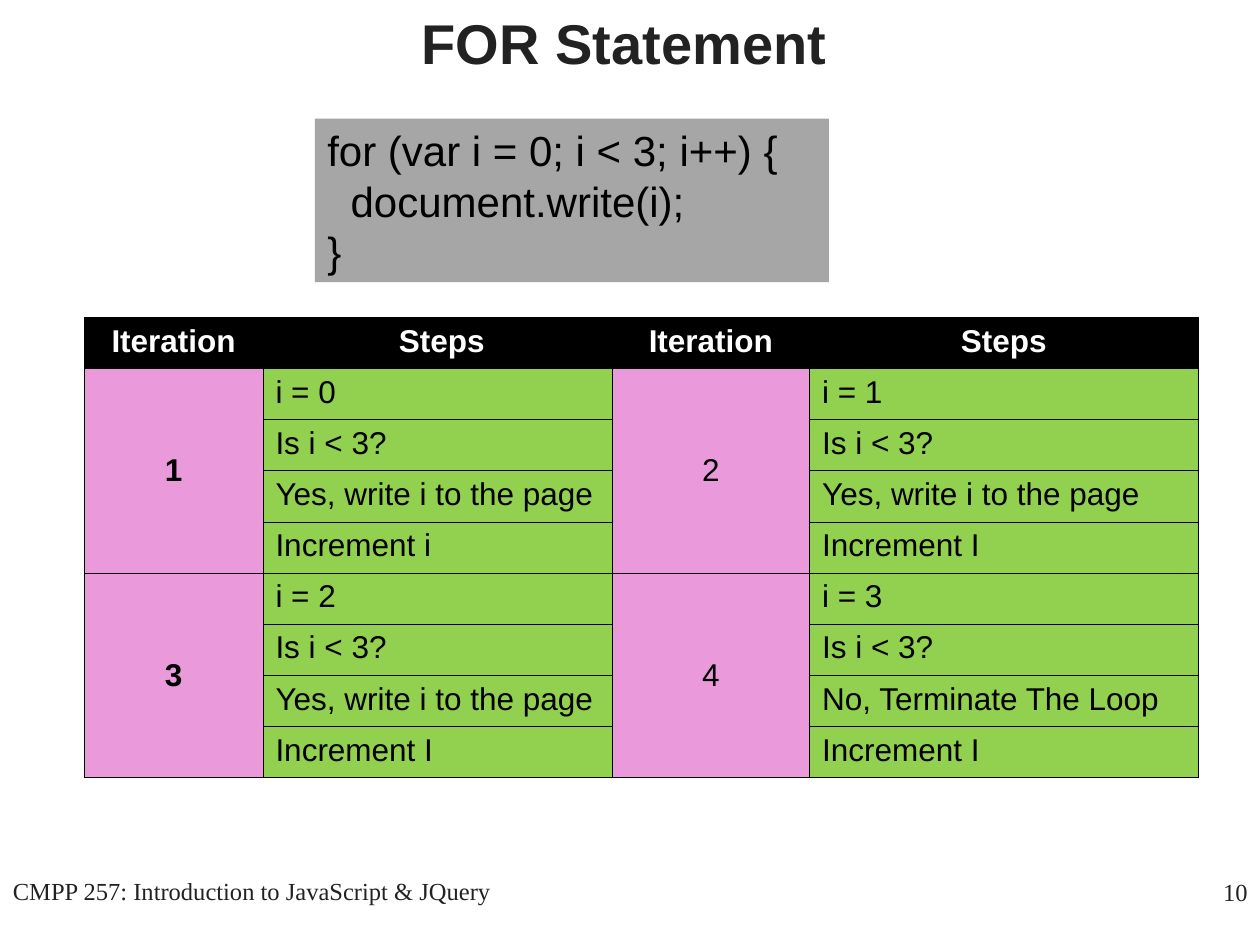
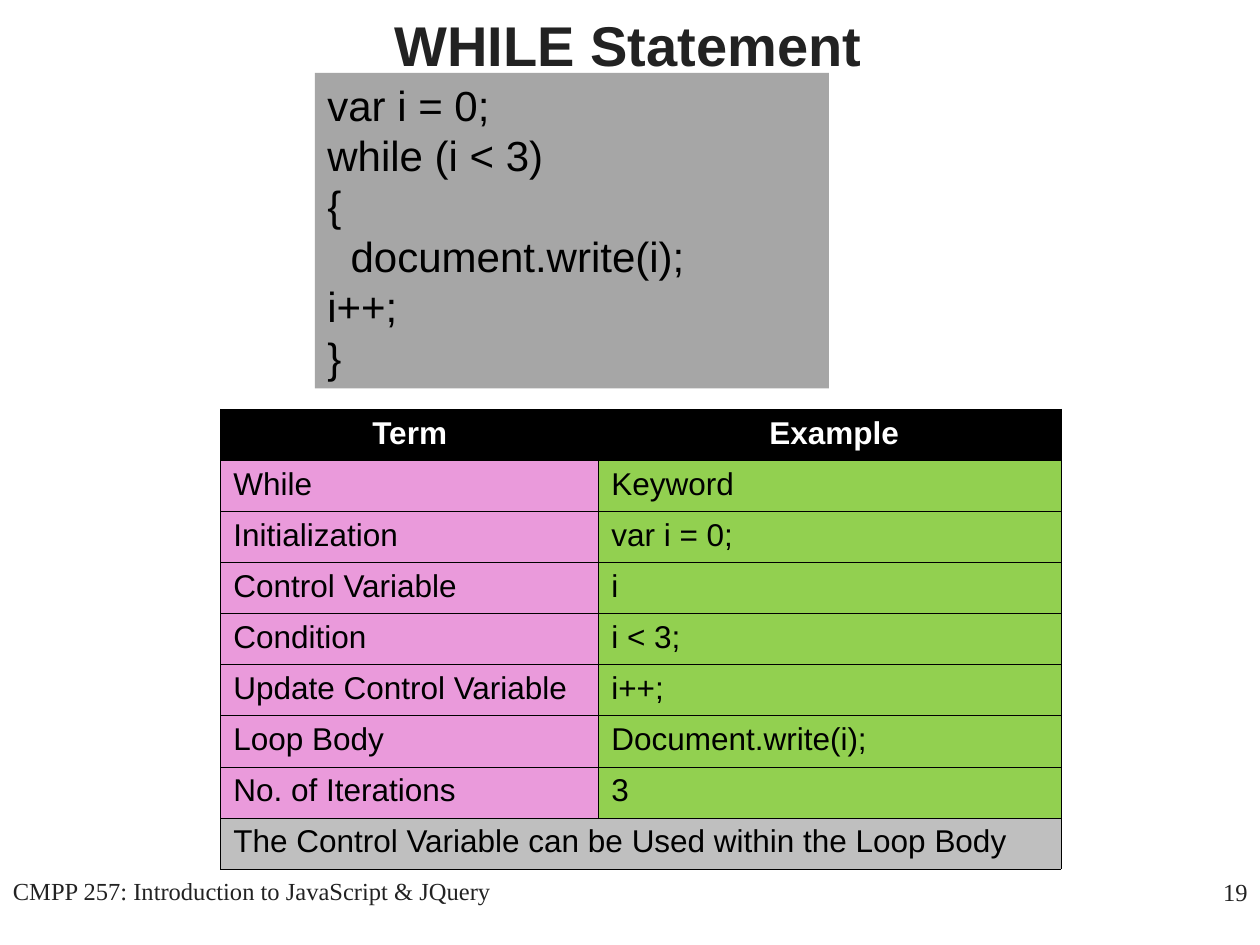
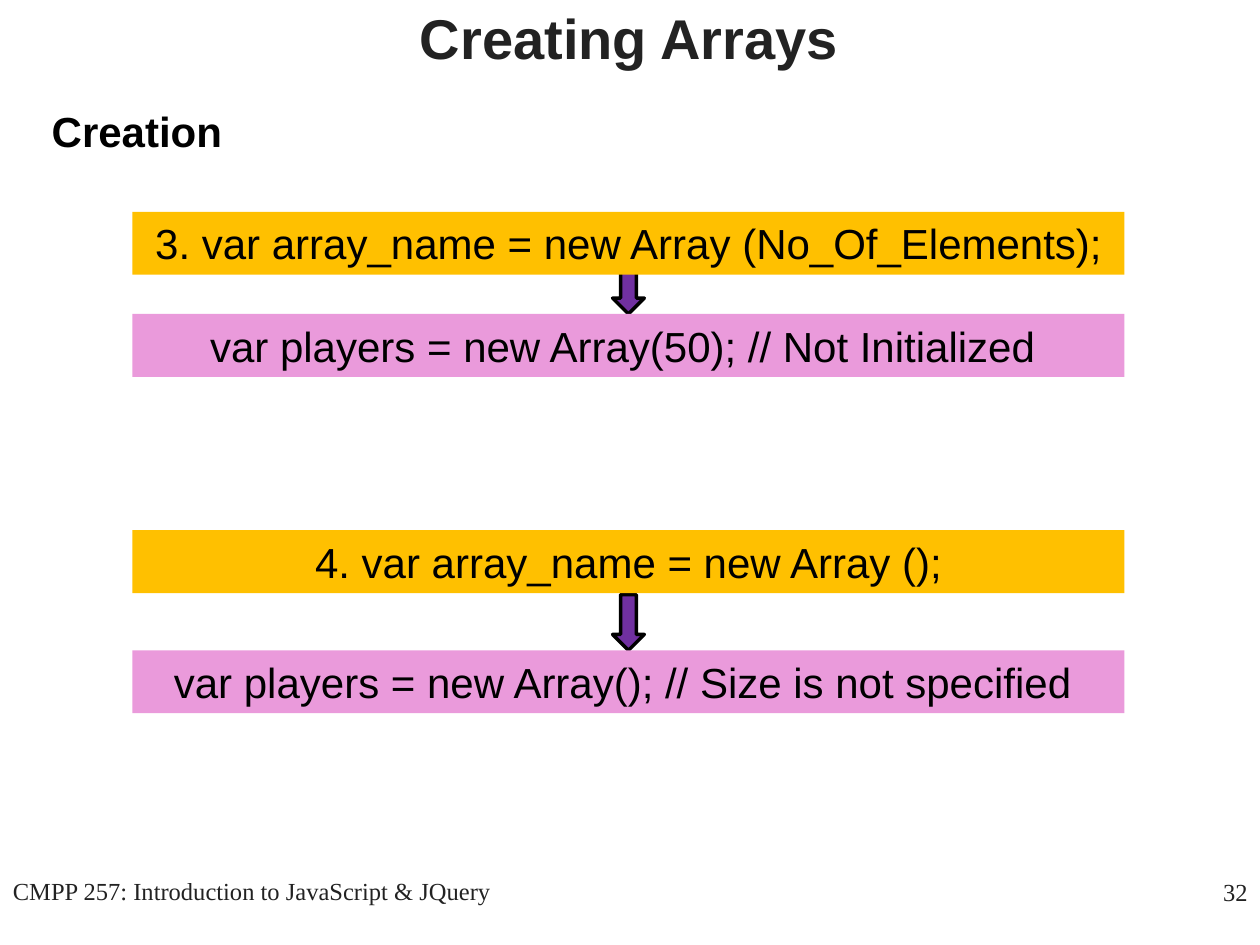
from lxml.etree import SubElement
from pptx import Presentation
from pptx.dml.color import RGBColor
from pptx.enum.shapes import MSO_SHAPE as Shape
from pptx.enum.text import MSO_ANCHOR as Anchor, MSO_AUTO_SIZE as AutoSize, PP_ALIGN as Align
from pptx.oxml.ns import qn
from pptx.util import Cm, Pt

BLACK = RGBColor(0x00, 0x00, 0x00)
WHITE = RGBColor(0xFF, 0xFF, 0xFF)
INK = RGBColor(0x22, 0x22, 0x22)
CODE_GREY = RGBColor(0xA6, 0xA6, 0xA6)
NOTE_GREY = RGBColor(0xBF, 0xBF, 0xBF)
PINK = RGBColor(0xEA, 0x9A, 0xDB)
GREEN = RGBColor(0x92, 0xD0, 0x50)
AMBER = RGBColor(0xFF, 0xC0, 0x00)
PURPLE = RGBColor(0x70, 0x30, 0xA0)

SANS, SERIF = "Arial", "Times New Roman"
COURSE = "CMPP 257: Introduction to JavaScript & JQuery"
TITLE_ONLY = 5
ROW_HEIGHT = 1.03
BAND_HEIGHT = 1.27
ARROW_WIDTH, ARROW_HEIGHT = 0.64, 1.12

ITERATIONS = [
    ["Iteration", " Steps", "Iteration", "Steps"],
    ["1", "i = 0", "2", "i = 1"],
    ["", "Is i < 3?", "", "Is i < 3?"],
    ["", "Yes, write i to the page", "", "Yes, write i to the page"],
    ["", "Increment i", "", "Increment I"],
    ["3", "i = 2", "4", "i = 3"],
    ["", "Is i < 3?", "", "Is i < 3?"],
    ["", "Yes, write i to the page", "", "No, Terminate The Loop"],
    ["", "Increment I", "", "Increment I"],
]
TERMS = [
    ["Term", " Example"],
    ["While", "Keyword"],
    ["Initialization", "var i = 0;"],
    ["Control Variable", "i"],
    ["Condition", "i < 3;"],
    ["Update Control Variable", "i++;"],
    ["Loop Body", "Document.write(i);"],
    ["No. of Iterations", "3"],
    ["The Control Variable can be Used within the Loop Body", ""],
]
FOR_CODE = ["for (var i = 0; i < 3; i++) {\n  document.write(i);\n}"]
WHILE_CODE = ["var i = 0;", "while (i < 3)", "{\n  document.write(i);", "i++;\n}"]


def write(frame, paragraphs, size, color=BLACK, bold=False, font=SANS, align=Align.LEFT):
    """Fill a text frame; a newline inside a paragraph becomes a line break."""
    frame.word_wrap = True
    for index, text in enumerate(paragraphs):
        paragraph = frame.add_paragraph() if index else frame.paragraphs[0]
        paragraph.alignment = align
        for number, line in enumerate(text.split("\n")):
            if number:
                paragraph.add_line_break()
            run = paragraph.add_run()
            run.text = line
            run.font.name, run.font.size, run.font.bold = font, Pt(size), bold
            run.font.color.rgb = color


def add_label(slide, box, text, size, **style):
    label = slide.shapes.add_textbox(*map(Cm, box))
    write(label.text_frame, [text], size, **style)


def add_panel(slide, box, fill, paragraphs, align):
    panel = slide.shapes.add_shape(Shape.RECTANGLE, *map(Cm, box))
    panel.shadow.inherit = False
    panel.fill.solid()
    panel.fill.fore_color.rgb = fill
    panel.line.fill.background()
    panel.text_frame.vertical_anchor = Anchor.TOP
    write(panel.text_frame, paragraphs, 24, align=align)


def add_code(slide, top, height, paragraphs):
    add_panel(slide, (6.35, top, 10.36, height), CODE_GREY, paragraphs, Align.LEFT)


def add_page(deck, title, number, left, top):
    """Add a slide with its title, course footer and page number."""
    slide = deck.slides.add_slide(deck.slide_layouts[TITLE_ONLY])
    heading = slide.shapes.title
    heading.left, heading.top, heading.width, heading.height = map(Cm, (left, top, 22.43, 3.18))
    frame = heading.text_frame
    frame.auto_size = AutoSize.NONE
    frame.vertical_anchor = Anchor.MIDDLE
    frame.margin_left = frame.margin_right = frame.margin_top = frame.margin_bottom = 0
    write(frame, [title], 32, INK, bold=True, align=Align.CENTER)
    footer_style = dict(size=14, color=INK, font=SERIF)
    add_label(slide, (0, 17.53, 10.16, 1.27), COURSE, align=Align.CENTER, **footer_style)
    add_label(slide, (20.12, 17.55, 5.28, 1.27), str(number), align=Align.RIGHT, **footer_style)
    return slide


def paint_cell(cell, fill):
    properties = cell._tc.get_or_add_tcPr()
    for edge in ("lnL", "lnR", "lnT", "lnB"):
        border = SubElement(properties, qn(f"a:{edge}"), w=str(Pt(0.45)))
        SubElement(SubElement(border, qn("a:solidFill")), qn("a:srgbClr"), val=str(BLACK))
    cell.fill.solid()
    cell.fill.fore_color.rgb = fill


def add_grid(slide, left, top, widths, rows):
    """Add a table with a black header and alternating pink and green columns."""
    frame = slide.shapes.add_table(len(rows), len(widths), Cm(left), Cm(top),
                                   Cm(sum(widths)), Cm(ROW_HEIGHT * len(rows)))
    table = frame.table
    table.first_row = table.horz_banding = False
    for column, width in zip(table.columns, widths):
        column.width = Cm(width)
    for r, texts in enumerate(rows):
        table.rows[r].height = Cm(ROW_HEIGHT)
        for c, text in enumerate(texts):
            cell = table.cell(r, c)
            paint_cell(cell, BLACK if r == 0 else (PINK, GREEN)[c % 2])
            if text:
                write(cell.text_frame, [text], 18, BLACK if r else WHITE, bold=r == 0,
                      align=Align.LEFT if r else Align.CENTER)
    return table


def build_for_slide(deck):
    slide = add_page(deck, "FOR Statement", 10, 1.37, -0.74)
    add_code(slide, 2.39, 3.3, FOR_CODE)
    table = add_grid(slide, 1.7, 6.4, (3.6, 7.04, 3.98, 7.83), ITERATIONS)
    for first_row in (1, 5):
        for column in (0, 2):
            iteration = table.cell(first_row, column)
            iteration.merge(table.cell(first_row + 3, column))
            iteration.vertical_anchor = Anchor.MIDDLE
            paragraph = iteration.text_frame.paragraphs[0]
            paragraph.alignment = Align.CENTER
            paragraph.runs[0].font.bold = column == 0


def build_while_slide(deck):
    slide = add_page(deck, "WHILE Statement", 19, 1.45, -0.71)
    add_code(slide, 1.47, 6.36, WHILE_CODE)
    table = add_grid(slide, 4.45, 8.25, (7.62, 9.32), TERMS)
    note_row = len(TERMS) - 1
    note = table.cell(note_row, 0)
    note.merge(table.cell(note_row, 1))
    note.fill.fore_color.rgb = NOTE_GREY


def add_syntax_example(slide, left, top, width, drop, syntax, example):
    """Stack a syntax band over an example band, joined by an arrow."""
    example_top = top + drop
    arrow = slide.shapes.add_shape(
        Shape.DOWN_ARROW, Cm(left + (width - ARROW_WIDTH) / 2), Cm(example_top - ARROW_HEIGHT),
        Cm(ARROW_WIDTH), Cm(ARROW_HEIGHT))
    arrow.shadow.inherit = False
    arrow.fill.solid()
    arrow.fill.fore_color.rgb = PURPLE
    arrow.line.color.rgb = BLACK
    arrow.line.width = Pt(2)
    for band_top, fill, text in ((top, AMBER, syntax), (example_top, PINK, example)):
        add_panel(slide, (left, band_top, width, BAND_HEIGHT), fill, [text], Align.CENTER)


def build_arrays_slide(deck):
    slide = add_page(deck, "Creating Arrays", 32, 1.47, -0.84)
    add_label(slide, (0.64, 2.01, 4.24, 1.27), "Creation", 24, bold=True, align=Align.CENTER)
    add_syntax_example(slide, 2.67, 4.27, 20, 2.06,
                       "3. var array_name = new Array (No_Of_Elements);",
                       "var players = new Array(50); // Not Initialized ")
    add_syntax_example(slide, 2.67, 10.69, 20, 2.42,
                       "4. var array_name = new Array ();",
                       "var players = new Array(); // Size is not specified ")


def main():
    deck = Presentation()
    deck.slide_width, deck.slide_height = Cm(25.4), Cm(19.05)
    build_for_slide(deck)
    build_while_slide(deck)
    build_arrays_slide(deck)
    deck.save("out.pptx")


if __name__ == "__main__":
    main()
